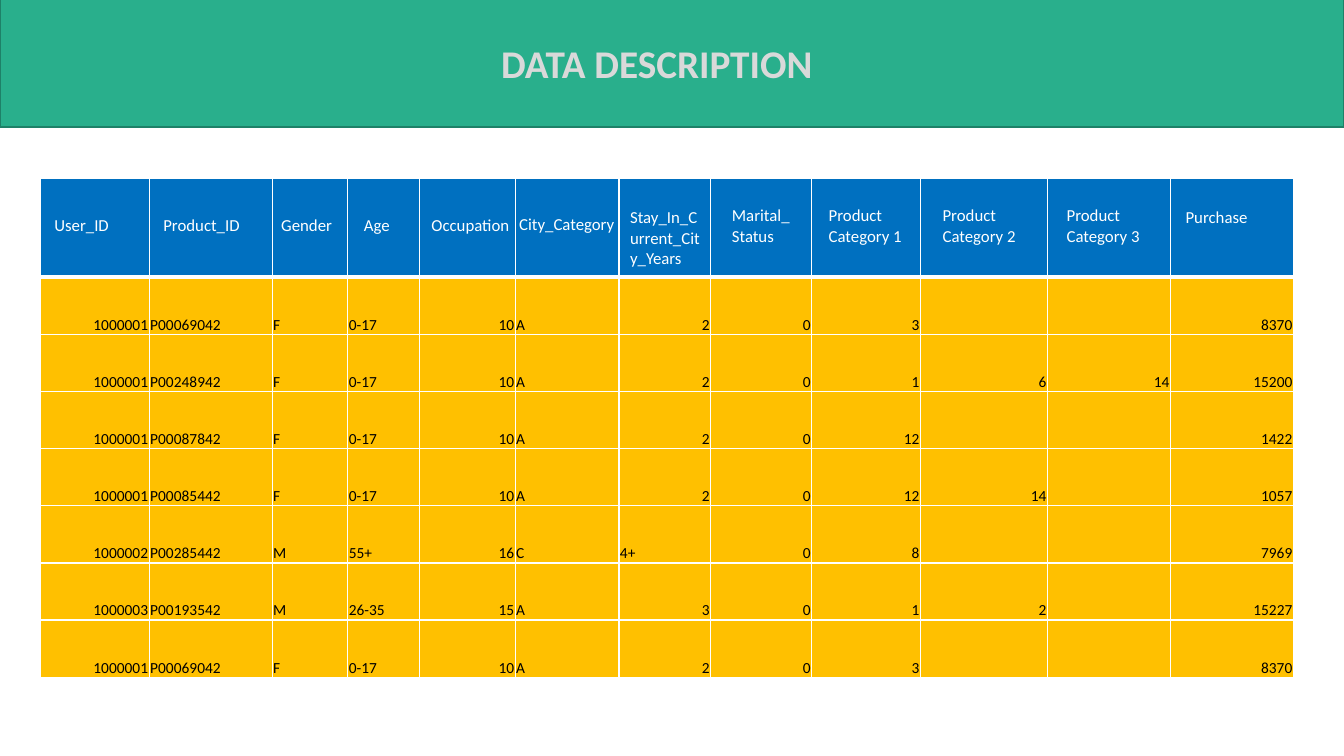
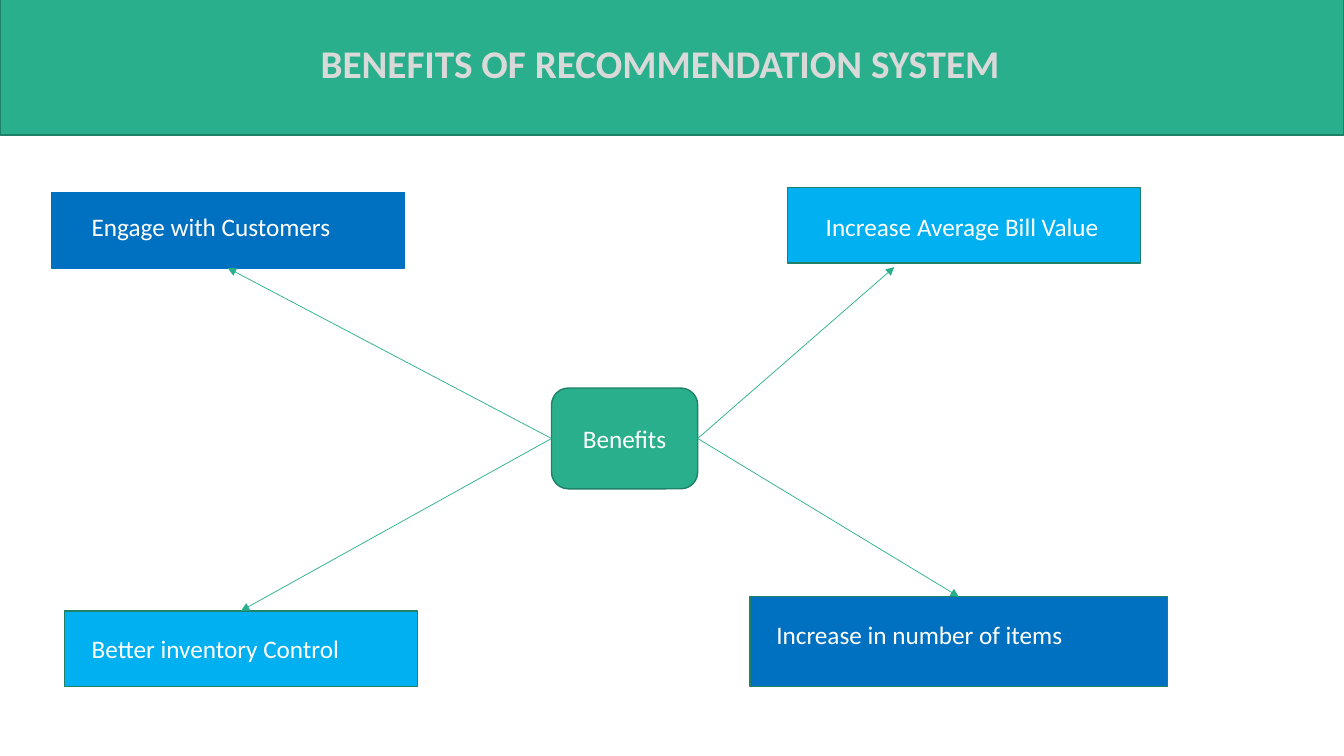
from lxml import etree
from pptx import Presentation
from pptx.dml.color import RGBColor
from pptx.enum.shapes import MSO_CONNECTOR, MSO_SHAPE
from pptx.enum.text import MSO_ANCHOR, MSO_AUTO_SIZE, PP_ALIGN
from pptx.oxml.ns import qn
from pptx.util import Inches, Pt

RECT = MSO_SHAPE.RECTANGLE
ROUNDED = MSO_SHAPE.ROUNDED_RECTANGLE
STRAIGHT = MSO_CONNECTOR.STRAIGHT
LEFT, CENTER, RIGHT = PP_ALIGN.LEFT, PP_ALIGN.CENTER, PP_ALIGN.RIGHT
TOP, MIDDLE, BOTTOM = MSO_ANCHOR.TOP, MSO_ANCHOR.MIDDLE, MSO_ANCHOR.BOTTOM
SIDE_TOP, SIDE_LEFT, SIDE_BOTTOM, SIDE_RIGHT = range(4)

COLORS = {
    "green": "29AF8C",
    "dark_green": "1E8168",
    "blue": "0070C0",
    "sky": "00B0F0",
    "amber": "FFC000",
    "title": "D9D9D9",
    "white": "FFFFFF",
    "black": "000000",
}
TITLE_FONT = {"name": "Calibri", "size": Pt(28), "bold": True}
HEADER_FONT = {"name": "Calibri", "size": Pt(12), "bold": False}
CELL_FONT = {"name": "Calibri", "size": Pt(11), "bold": False}
BOX_FONT = {"name": "Calibri", "size": Pt(18), "bold": False}

SLIDE_W, SLIDE_H = 13.33, 7.5
BAND_H = 1.43

TABLE_X, TABLE_Y, TABLE_H = 0.4, 1.77, 4.95
HEADER_H = 0.98
COL_WIDTHS = [1.08, 1.22, 0.75, 0.71, 0.95, 1.03, 0.91, 1, 1.08, 1.26, 1.22, 1.22]
# Text, then left, top and right margins
HEADERS = [
    ("User_ID", 0.14, 0.37, 0),
    ("Product_ID", 0.14, 0.37, 0),
    ("Gender", 0.09, 0.37, 0),
    ("Age", 0.16, 0.37, 0),
    ("Occupation", 0.12, 0.37, 0),
    ("City_Category", 0.04, 0.36, 0),
    ("Stay_In_Current_City_Years", 0.11, 0.29, 0.05),
    ("Marital_Status", 0.21, 0.27, 0.19),
    ("Product Category 1", 0.17, 0.27, 0),
    ("Product Category 2", 0.22, 0.27, 0),
    ("Product Category 3", 0.19, 0.27, 0),
    ("Purchase", 0.15, 0.29, 0),
]
PURCHASES = [
    ("1000001", "P00069042", "F", "0-17", "10", "A", "2", "0", "3", "", "", "8370"),
    ("1000001", "P00248942", "F", "0-17", "10", "A", "2", "0", "1", "6", "14", "15200"),
    ("1000001", "P00087842", "F", "0-17", "10", "A", "2", "0", "12", "", "", "1422"),
    ("1000001", "P00085442", "F", "0-17", "10", "A", "2", "0", "12", "14", "", "1057"),
    ("1000002", "P00285442", "M", "55+", "16", "C", "4+", "0", "8", "", "", "7969"),
    ("1000003", "P00193542", "M", "26-35", "15", "A", "3", "0", "1", "2", "", "15227"),
    ("1000001", "P00069042", "F", "0-17", "10", "A", "2", "0", "3", "", "", "8370"),
]


def rgb(color):
    return RGBColor.from_string(COLORS[color])


def write_text(tf, text, font, color, align=LEFT):
    p = tf.paragraphs[0]
    p.alignment = align
    r = p.add_run()
    r.text = text
    for name, value in font.items():
        setattr(r.font, name, value)
    r.font.color.rgb = rgb(color)


def set_margins(target, left, top, right, bottom):
    """Set the inner margins, in inches, of a text frame or a table cell."""
    margins = {"left": left, "top": top, "right": right, "bottom": bottom}
    for side, value in margins.items():
        setattr(target, f"margin_{side}", Inches(value))


def add_box(s, kind, x, y, w, h, fill, line="dark_green"):
    sp = s.shapes.add_shape(kind, Inches(x), Inches(y), Inches(w), Inches(h))
    sp.shadow.inherit = False
    sp.fill.solid()
    sp.fill.fore_color.rgb = rgb(fill)
    sp.line.color.rgb = rgb(line)
    sp.line.width = Pt(1)
    return sp


def add_titled_slide(prs, title, title_x, band_y):
    """Add a slide with the green band behind its title placeholder."""
    s = prs.slides.add_slide(prs.slide_layouts.get_by_name("Title Only"))
    band = add_box(s, RECT, 0, band_y, SLIDE_W, BAND_H, "green")
    sp = s.shapes.title
    sp.left, sp.top = Inches(title_x), Inches(0.34)
    sp.width, sp.height = Inches(8.28), Inches(0.57)
    sp._element.addprevious(band._element)
    tf = sp.text_frame
    tf.auto_size = MSO_AUTO_SIZE.NONE
    tf.vertical_anchor = TOP
    write_text(tf, title, TITLE_FONT, "title")
    return s


def style_cell(cell, fill, bottom_width):
    """Give a cell its fill and white borders, with widths in points."""
    tc_pr = cell._tc.get_or_add_tcPr()
    for side, width in (("L", 1), ("R", 1), ("T", 1), ("B", bottom_width)):
        ln = etree.SubElement(tc_pr, qn(f"a:ln{side}"), w=str(Pt(width)))
        solid = etree.SubElement(ln, qn("a:solidFill"))
        etree.SubElement(solid, qn("a:srgbClr"), val=COLORS["white"])
    cell.fill.solid()
    cell.fill.fore_color.rgb = rgb(fill)


def add_purchase_table(s):
    row_h = (TABLE_H - HEADER_H) / len(PURCHASES)
    table = s.shapes.add_table(
        len(PURCHASES) + 1, len(HEADERS), Inches(TABLE_X), Inches(TABLE_Y),
        Inches(sum(COL_WIDTHS)), Inches(TABLE_H)).table
    table.horz_banding = False
    for col, width in zip(table.columns, COL_WIDTHS):
        col.width = Inches(width)
    for i, row in enumerate(table.rows):
        row.height = Inches(row_h if i else HEADER_H)

    for cell, (text, left, top, right) in zip(table.rows[0].cells, HEADERS):
        style_cell(cell, "blue", 3)
        set_margins(cell, left, top, right, 0)
        cell.vertical_anchor = TOP
        write_text(cell.text_frame, text, HEADER_FONT, "white")

    for i, values in enumerate(PURCHASES, 1):
        for cell, text in zip(table.rows[i].cells, values):
            style_cell(cell, "amber", 1)
            set_margins(cell, 0.01, 0.01, 0.01, 0)
            cell.vertical_anchor = BOTTOM
            if text:
                align = RIGHT if text.isdigit() else LEFT
                write_text(cell.text_frame, text, CELL_FONT, "black", align)
    # The first row's lower border is also the upper border of the row below
    for cell in table.rows[1].cells:
        cell._tc.tcPr.find(qn("a:lnT")).set("w", str(Pt(3)))


def add_benefit(s, text, x, y, w, h, fill, line, left, top):
    sp = add_box(s, RECT, x, y, w, h, fill, line)
    tf = sp.text_frame
    tf.word_wrap = True
    tf.vertical_anchor = TOP
    set_margins(tf, left, top, 0.1, 0.05)
    write_text(tf, text, BOX_FONT, "white")
    return sp


def add_arrow(s, hub, hub_side, end=(0, 0), target=None, target_side=None):
    """Draw an arrow from the hub to a target's side, or to a free end point."""
    cxn = s.shapes.add_connector(STRAIGHT, 0, 0, Inches(end[0]), Inches(end[1]))
    cxn.begin_connect(hub, hub_side)
    if target is not None:
        cxn.end_connect(target, target_side)
    cxn.line.color.rgb = rgb("green")
    cxn.line.width = Pt(0.5)
    etree.SubElement(cxn.line._get_or_add_ln(), qn("a:tailEnd"), type="triangle")
    etree.SubElement(cxn._element.spPr, qn("a:effectLst"))


def build_data_slide(prs):
    s = add_titled_slide(prs, "DATA DESCRIPTION", 4.87, -0.17)
    add_purchase_table(s)


def build_benefits_slide(prs):
    s = add_titled_slide(prs, "BENEFITS OF RECOMMENDATION SYSTEM", 3.08, -0.09)
    hub = add_box(s, ROUNDED, 5.47, 3.85, 1.45, 1, "green")
    hub.text_frame.vertical_anchor = MIDDLE
    write_text(hub.text_frame, "Benefits", BOX_FONT, "white", CENTER)

    engage = add_benefit(s, "Engage with Customers", 0.51, 1.91, 3.5, 0.75,
                         "blue", "blue", 0.4, 0.19)
    add_benefit(s, "Increase Average Bill Value", 7.81, 1.86, 3.5, 0.75,
                "sky", "dark_green", 0.38, 0.24)
    inventory = add_benefit(s, "Better inventory Control", 0.64, 6.06, 3.5, 0.75,
                            "sky", "dark_green", 0.27, 0.22)
    items = add_benefit(s, "Increase in number of items", 7.44, 5.92, 4.14, 0.89,
                        "blue", "dark_green", 0.26, 0.22)

    add_arrow(s, hub, SIDE_RIGHT, end=(8.87, 2.65))
    add_arrow(s, hub, SIDE_RIGHT, target=items, target_side=SIDE_TOP)
    add_arrow(s, hub, SIDE_LEFT, target=engage, target_side=SIDE_BOTTOM)
    add_arrow(s, hub, SIDE_LEFT, target=inventory, target_side=SIDE_TOP)


def main():
    prs = Presentation()
    prs.slide_width, prs.slide_height = Inches(SLIDE_W), Inches(SLIDE_H)
    build_data_slide(prs)
    build_benefits_slide(prs)
    prs.save("out.pptx")


if __name__ == "__main__":
    main()
